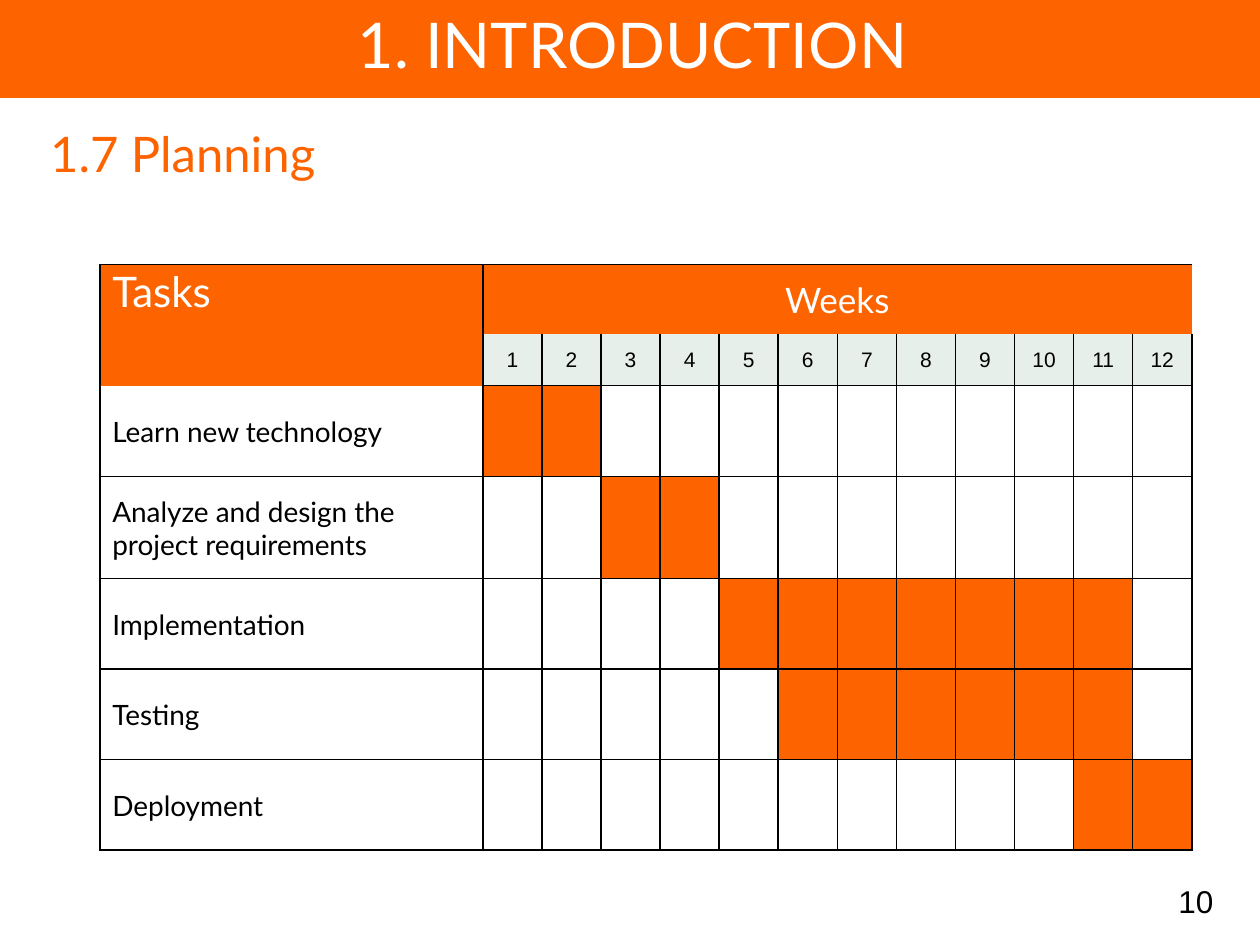
from lxml.etree import SubElement
from pptx import Presentation
from pptx.dml.color import RGBColor
from pptx.enum.shapes import MSO_SHAPE
from pptx.enum.text import MSO_ANCHOR, PP_ALIGN
from pptx.oxml.ns import qn
from pptx.util import Pt

ORANGE = RGBColor(0xFD, 0x64, 0x00)
WHITE = RGBColor(0xFF, 0xFF, 0xFF)
BLACK = RGBColor(0, 0, 0)
PALE = RGBColor(0xE7, 0xEF, 0xEB)

# Content: task, first week, last week
TITLE = "1. INTRODUCTION"
SUBTITLE = "1.7 Planning"
PAGE_NUMBER = "10"
WEEKS = 12
TASKS = [
    ("Learn new technology", 1, 2),
    ("Analyze and design the project requirements", 3, 4),
    ("Implementation", 5, 11),
    ("Testing", 6, 11),
    ("Deployment", 11, 12),
]

# Measures in points
TABLE_LEFT, TABLE_TOP = 57, 151.2
TASK_WIDTH, WEEK_WIDTH = 218.9, 33.77
ROW_HEIGHTS = [39.6, 29.6, 51.8, 58.3, 51.8, 51.8, 51.8]
INDENT = 7.2
SIDES = {"L": "a:lnL", "R": "a:lnR", "T": "a:lnT", "B": "a:lnB"}


def write(frame, text, size=16, font="Lato", color=BLACK,
          align=PP_ALIGN.LEFT, spacing=None):
    para = frame.paragraphs[0]
    para.alignment = align
    if spacing:
        para.line_spacing = spacing
    span = para.add_run()
    span.text = text
    span.font.size = Pt(size)
    span.font.name = font
    span.font.color.rgb = color


def add_text(page, text, place, anchor=MSO_ANCHOR.MIDDLE, **text_format):
    frame = page.shapes.add_textbox(*map(Pt, place)).text_frame
    frame.word_wrap = True
    frame.vertical_anchor = anchor
    write(frame, text, **text_format)


def fill_cell(cell, color, sides="LRTB"):
    """Fill a cell and draw the named borders, leaving the others blank."""
    properties = cell._tc.get_or_add_tcPr()
    for side, tag in SIDES.items():
        line = SubElement(properties, qn(tag), w=str(Pt(1)))
        if side in sides:
            solid = SubElement(line, qn("a:solidFill"))
            SubElement(solid, qn("a:srgbClr"), val=str(BLACK))
        else:
            SubElement(line, qn("a:noFill"))
    cell.fill.solid()
    cell.fill.fore_color.rgb = color


def write_cell(cell, text, indent=0.7, anchor=MSO_ANCHOR.MIDDLE, **text_format):
    cell.margin_left = Pt(indent)
    cell.margin_top = cell.margin_right = Pt(0.7)
    cell.margin_bottom = 0
    cell.vertical_anchor = anchor
    write(cell.text_frame, text, **text_format)


def add_plan(page):
    shape = page.shapes.add_table(
        len(ROW_HEIGHTS), WEEKS + 1, Pt(TABLE_LEFT), Pt(TABLE_TOP),
        Pt(TASK_WIDTH + WEEKS * WEEK_WIDTH), Pt(sum(ROW_HEIGHTS)))
    table = shape.table
    for row, height in zip(table.rows, ROW_HEIGHTS):
        row.height = Pt(height)
    for index, column in enumerate(table.columns):
        column.width = Pt(WEEK_WIDTH if index else TASK_WIDTH)

    # Header rows
    fill_cell(table.cell(0, 0), ORANGE, "LRT")
    fill_cell(table.cell(1, 0), ORANGE, "LR")
    for week in range(1, WEEKS + 1):
        edges = {1: "LT", WEEKS: "RT"}.get(week, "T")
        fill_cell(table.cell(0, week), ORANGE, edges)
        fill_cell(table.cell(1, week), PALE, "LRB")
        write_cell(table.cell(1, week), str(week), size=12, font="Arial",
                   align=PP_ALIGN.CENTER)
    table.cell(0, 0).merge(table.cell(1, 0))
    table.cell(0, 1).merge(table.cell(0, WEEKS))
    write_cell(table.cell(0, 0), "Tasks", indent=INDENT,
               anchor=MSO_ANCHOR.TOP, size=24, color=WHITE)
    write_cell(table.cell(0, 1), "Weeks", size=20, color=WHITE,
               align=PP_ALIGN.CENTER)

    # Task rows with their bars
    for row, (task, first, last) in enumerate(TASKS, start=2):
        fill_cell(table.cell(row, 0), WHITE, "LRB" if row == 2 else "LRTB")
        write_cell(table.cell(row, 0), task, indent=INDENT)
        for week in range(1, WEEKS + 1):
            busy = first <= week <= last
            fill_cell(table.cell(row, week), ORANGE if busy else WHITE)


def main():
    deck = Presentation()
    deck.slide_width, deck.slide_height = Pt(720), Pt(540)
    page = deck.slides.add_slide(deck.slide_layouts[6])

    # Title band
    band = page.shapes.add_shape(MSO_SHAPE.RECTANGLE, 0, Pt(-0.7), Pt(720), Pt(56))
    band.shadow.inherit = False
    band.fill.solid()
    band.fill.fore_color.rgb = ORANGE
    band.line.color.rgb = ORANGE
    band.line.width = Pt(1)

    # Headings and page number
    add_text(page, SUBTITLE, (21.6, 70.6, 170.6, 36.7), MSO_ANCHOR.TOP,
             size=28, color=ORANGE, spacing=0.9)
    add_text(page, TITLE, (21.6, 0, 679.7, 55.4), size=36, color=WHITE,
             align=PP_ALIGN.CENTER, spacing=0.9)
    add_text(page, PAGE_NUMBER, (508.3, 500.4, 192.2, 28.8), size=18,
             font="Arial", align=PP_ALIGN.RIGHT)

    add_plan(page)
    deck.save("out.pptx")


if __name__ == "__main__":
    main()
